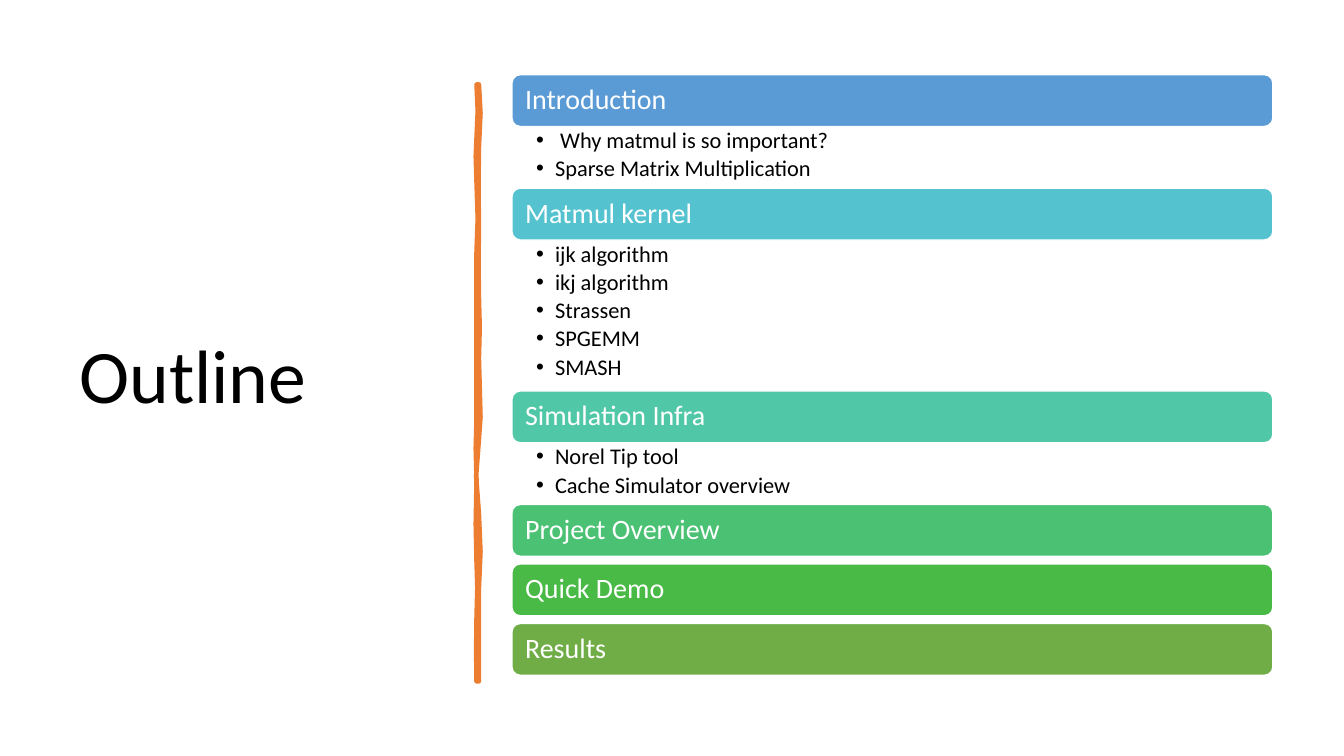
"""Build the outline slide: title, hand-drawn divider and six agenda bars."""
from lxml import etree
from pptx import Presentation
from pptx import util as u
from pptx.dml.color import RGBColor
from pptx.enum import shapes, text
from pptx.oxml import ns

BLACK = RGBColor(0x00, 0x00, 0x00)
WHITE = RGBColor(0xFF, 0xFF, 0xFF)
ORANGE = RGBColor(0xED, 0x7D, 0x31)
BLUE = RGBColor(0x5B, 0x9B, 0xD5)
CYAN = RGBColor(0x55, 0xC3, 0xCF)
TEAL = RGBColor(0x50, 0xC8, 0xA7)
MINT = RGBColor(0x4B, 0xC1, 0x74)
GREEN = RGBColor(0x4A, 0xBA, 0x46)
OLIVE = RGBColor(0x70, 0xAD, 0x47)

LEFT, WIDTH, BAR, GAP = 12.9, 19.18, 1.31, 0.19
AGENDA = [
    ("Introduction", BLUE, 1.55,
     [" Why matmul is so important?", "Sparse Matrix Multiplication"]),
    ("Matmul kernel", CYAN, 3.8,
     ["ijk algorithm", "ikj algorithm", "Strassen", "SPGEMM", "SMASH"]),
    ("Simulation Infra", TEAL, 1.55,
     ["Norel Tip tool", "Cache Simulator overview"]),
    ("Project Overview", MINT, GAP, []),
    ("Quick Demo", GREEN, GAP, []),
    ("Results", OLIVE, GAP, []),
]
RIGHT_EDGE = [
    (2.13, 0), (2.85, 0.04), (3.71, 0), (4.7, -0.01), (5.74, 0),
    (6.6, -0.01), (7.47, 0), (8.25, 0.02), (9.04, 0), (10.5, 0.04),
    (11.07, 0), (12, -0.07), (12.95, 0), (13.9, 0.04), (14.83, 0), (17.17, 0),
]
LEFT_EDGE = [
    (17.17, 0), (16.4, -0.01), (15.57, 0), (14.8, 0.02), (14.15, 0),
    (13.2, -0.02), (12.12, 0), (11.3, -0.02), (10.54, 0), (8.51, 0),
    (6.35, 0), (5.5, 0.03), (4.6, 0), (3.94, -0.02), (2.8, 0.03), (2.13, 0),
]


def style(para, size, color, after=0):
    """Set the look of one paragraph."""
    para.line_spacing = 0.9
    para.space_after = u.Pt(after)
    para.alignment = text.PP_ALIGN.LEFT
    for run in para.runs:
        run.font.name = "Calibri"
        run.font.size = u.Pt(size)
        run.font.color.rgb = color


def inset(frame, left, top, right):
    """Wrap a text frame and set its margins in centimetres."""
    frame.word_wrap = True
    frame.margin_left, frame.margin_right = u.Cm(left), u.Cm(right)
    frame.margin_top = frame.margin_bottom = u.Cm(top)


deck = Presentation()
deck.slide_width, deck.slide_height = u.Cm(33.87), u.Cm(19.05)
slide = deck.slides.add_slide(deck.slide_layouts[6])

title = slide.shapes.add_textbox(u.Cm(1.75), u.Cm(1.78), u.Cm(9.5), u.Cm(15.52))
frame = title.text_frame
inset(frame, 0.25, 0.13, 0.25)
frame.vertical_anchor = text.MSO_ANCHOR.MIDDLE
frame.text = "Outline"
style(frame.paragraphs[0], 54, BLACK)

edge = [(u.Cm(12.07 + dx), u.Cm(y)) for y, dx in RIGHT_EDGE]
edge += [(u.Cm(12.01 + dx), u.Cm(y)) for y, dx in LEFT_EDGE]
pen = slide.shapes.build_freeform(*edge[0])
pen.add_line_segments(edge[1:], close=True)
rule = pen.convert_to_shape()
rule.shadow.inherit = False
rule.fill.solid()
rule.fill.fore_color.rgb = ORANGE
rule.line.color.rgb = ORANGE
rule.line.width = u.Pt(3.25)

top = 1.88
for head, color, room, items in AGENDA:
    bar = slide.shapes.add_shape(shapes.MSO_SHAPE.ROUNDED_RECTANGLE,
                                 u.Cm(LEFT), u.Cm(top), u.Cm(WIDTH), u.Cm(BAR))
    bar.shadow.inherit = False
    bar.fill.solid()
    bar.fill.fore_color.rgb = color
    bar.line.color.rgb = WHITE
    bar.line.width = u.Pt(1)
    frame = bar.text_frame
    inset(frame, 0.27, 0.2, 0.27)
    frame.vertical_anchor = text.MSO_ANCHOR.MIDDLE
    frame.text = head
    style(frame.paragraphs[0], 20, WHITE)
    top += BAR

    if items:
        body = slide.shapes.add_textbox(u.Cm(LEFT), u.Cm(top), u.Cm(WIDTH), u.Cm(room))
        frame = body.text_frame
        inset(frame, 0.61, 0.07, 0.41)
        frame.text = "\n".join(items)
        for para in frame.paragraphs:
            style(para, 16, BLACK, 2.9)
            props = para._p.get_or_add_pPr()
            props.set("marL", str(u.Cm(0.48)))
            props.set("indent", str(-u.Cm(0.48)))
            font = etree.SubElement(props, ns.qn("a:buFont"))
            font.set("typeface", "Arial")
            mark = etree.SubElement(props, ns.qn("a:buChar"))
            mark.set("char", "•")
    top += room

deck.save("out.pptx")
